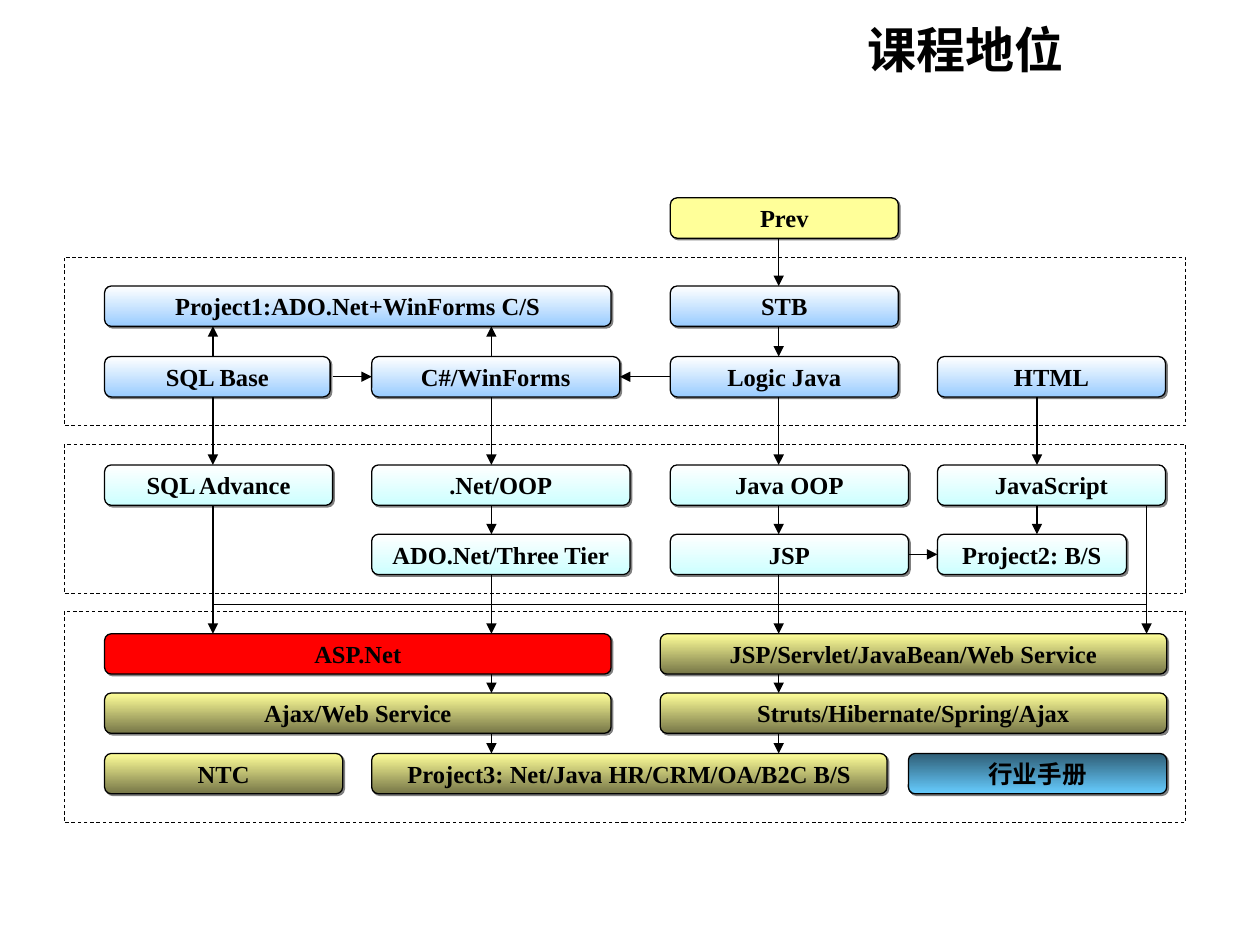
from lxml.etree import SubElement
from pptx import Presentation
from pptx.dml.color import RGBColor
from pptx.enum.dml import MSO_LINE
from pptx.enum.shapes import MSO_CONNECTOR, MSO_SHAPE
from pptx.enum.text import MSO_ANCHOR, PP_ALIGN
from pptx.oxml.ns import qn
from pptx.util import Inches, Pt

TITLE = "课程地位"
BLACK = "000000"
# One colour is a solid fill, two run from top to bottom.
YELLOW, RED = ["FFFF99"], ["FF0000"]
BLUE, CYAN = ["FFFFFF", "99CCFF"], ["FFFFFF", "CCFFFF"]
OLIVE, STEEL = ["FFFF99", "767647"], ["2F5E76", "66CCFF"]

BOX_HEIGHT = 0.32
ROWS = {"prev": 1.57, "project": 2.27, "base": 2.83, "oop": 3.69, "tier": 4.24,
        "web": 5.03, "ajax": 5.5, "final": 5.98}
SQL, NET, JAVA, HTML = 0.83, 2.95, 5.32, 7.44  # left edges of the box columns
WIDE_JAVA = 5.24
SQL_LINE, NET_LINE, JAVA_LINE, HTML_LINE, SCRIPT_LINE = 1.69, 3.9, 6.18, 8.23, 9.1
BUS_Y = 4.8

FRAME_LEFT, FRAME_WIDTH = 0.51, 8.9
FRAMES = [(2.04, 1.34), (3.53, 1.18), (4.85, 1.68)]  # top, height

BOXES = [  # text, row, left, width, fill
    ("Prev", "prev", JAVA, 1.81, YELLOW),
    ("Project1:ADO.Net+WinForms C/S", "project", SQL, 4.02, BLUE),
    ("STB", "project", JAVA, 1.81, BLUE),
    ("SQL Base", "base", SQL, 1.79, BLUE),
    ("C#/WinForms", "base", NET, 1.97, BLUE),
    ("Logic Java", "base", JAVA, 1.81, BLUE),
    ("HTML", "base", HTML, 1.81, BLUE),
    ("SQL Advance", "oop", SQL, 1.81, CYAN),
    (".Net/OOP", "oop", NET, 2.05, CYAN),
    ("Java OOP", "oop", JAVA, 1.89, CYAN),
    ("JavaScript", "oop", HTML, 1.81, CYAN),
    ("ADO.Net/Three Tier", "tier", NET, 2.05, CYAN),
    ("JSP", "tier", JAVA, 1.89, CYAN),
    ("Project2: B/S", "tier", HTML, 1.5, CYAN),
    ("ASP.Net", "web", SQL, 4.02, RED),
    ("JSP/Servlet/JavaBean/Web Service", "web", WIDE_JAVA, 4.02, OLIVE),
    ("Ajax/Web Service", "ajax", SQL, 4.02, OLIVE),
    ("Struts/Hibernate/Spring/Ajax", "ajax", WIDE_JAVA, 4.02, OLIVE),
    ("NTC", "final", SQL, 1.89, OLIVE),
    ("Project3: Net/Java HR/CRM/OA/B2C B/S", "final", NET, 4.09, OLIVE),
    ("行业手册", "final", 7.21, 2.05, STEEL),
]

VERTICAL_ARROWS = [  # from row, to row, line positions
    ("prev", "project", [JAVA_LINE]),
    ("project", "base", [JAVA_LINE]),
    ("base", "project", [SQL_LINE, NET_LINE]),
    ("base", "oop", [SQL_LINE, NET_LINE, JAVA_LINE, HTML_LINE]),
    ("oop", "tier", [NET_LINE, JAVA_LINE, HTML_LINE]),
    ("oop", "web", [SQL_LINE, SCRIPT_LINE]),
    ("tier", "web", [NET_LINE, JAVA_LINE]),
    ("web", "ajax", [NET_LINE, JAVA_LINE]),
    ("ajax", "final", [NET_LINE, JAVA_LINE]),
]
HORIZONTAL_ARROWS = [  # row, from, to
    ("base", 2.64, NET),
    ("base", JAVA, 4.92),
    ("tier", 7.21, HTML),
]


def color(value):
    return RGBColor.from_string(value)


def write(shape, text, size, font_name, alignment, anchor):
    frame = shape.text_frame
    frame.word_wrap = True
    frame.vertical_anchor = anchor
    paragraph = frame.paragraphs[0]
    paragraph.text = text
    paragraph.alignment = alignment
    font = paragraph.font
    font.size, font.name, font.bold = Pt(size), font_name, True
    font.color.rgb = color(BLACK)


def add_frame(slide, top, height):
    shape = slide.shapes.add_shape(MSO_SHAPE.RECTANGLE, Inches(FRAME_LEFT), Inches(top),
                                   Inches(FRAME_WIDTH), Inches(height))
    shape.shadow.inherit = False
    shape.fill.background()
    shape.line.color.rgb = color(BLACK)
    shape.line.width = Pt(0.5)
    shape.line.dash_style = MSO_LINE.DASH


def add_hard_shadow(shape):
    shape.shadow.inherit = False
    effects = shape._element.spPr.find(qn("a:effectLst"))
    shadow = SubElement(effects, qn("a:outerShdw"), dist=str(Pt(1.4)), dir="2700000",
                        algn="ctr", rotWithShape="0")
    SubElement(shadow, qn("a:srgbClr"), val="808080")


def add_box(slide, text, row, left, width, colors):
    shape = slide.shapes.add_shape(MSO_SHAPE.ROUNDED_RECTANGLE, Inches(left),
                                   Inches(ROWS[row]), Inches(width), Inches(BOX_HEIGHT))
    add_hard_shadow(shape)
    if len(colors) == 1:
        shape.fill.solid()
        shape.fill.fore_color.rgb = color(colors[0])
    else:
        shape.fill.gradient()
        shape.fill.gradient_angle = 270
        for stop, value in zip(shape.fill.gradient_stops, colors):
            stop.color.rgb = color(value)
    shape.line.color.rgb = color(BLACK)
    shape.line.width = Pt(0.75)
    shape.text_frame.margin_top = shape.text_frame.margin_bottom = 0
    write(shape, text, 14, "Times New Roman", PP_ALIGN.CENTER, MSO_ANCHOR.MIDDLE)


def add_line(slide, start, end, arrow=True):
    line = slide.shapes.add_connector(MSO_CONNECTOR.STRAIGHT,
                                      *(Inches(value) for value in start + end))
    line.line.color.rgb = color(BLACK)
    line.line.width = Pt(0.75)
    if arrow:
        SubElement(line.line._get_or_add_ln(), qn("a:tailEnd"), type="triangle")
    SubElement(line._element.spPr, qn("a:effectLst"))


def main():
    presentation = Presentation()
    presentation.slide_width, presentation.slide_height = Inches(10), Inches(7.5)
    slide = presentation.slides.add_slide(presentation.slide_layouts[6])

    title = slide.shapes.add_textbox(Inches(-0.2), Inches(-0.22), Inches(8.74), Inches(1.21))
    write(title, TITLE, 28, "Arial", PP_ALIGN.RIGHT, MSO_ANCHOR.MIDDLE)

    for top, height in FRAMES:
        add_frame(slide, top, height)
    for box in BOXES:
        add_box(slide, *box)
    for source, target, positions in VERTICAL_ARROWS:
        start, end = ROWS[source], ROWS[target]
        if start < end:
            start += BOX_HEIGHT
        else:
            end += BOX_HEIGHT
        for x in positions:
            add_line(slide, (x, start), (x, end))
    for row, start, end in HORIZONTAL_ARROWS:
        y = ROWS[row] + BOX_HEIGHT / 2
        add_line(slide, (start, y), (end, y))
    for x in (SQL_LINE, SCRIPT_LINE):
        add_line(slide, (x, BUS_Y), (NET_LINE, BUS_Y), arrow=False)

    presentation.save("out.pptx")


if __name__ == "__main__":
    main()
